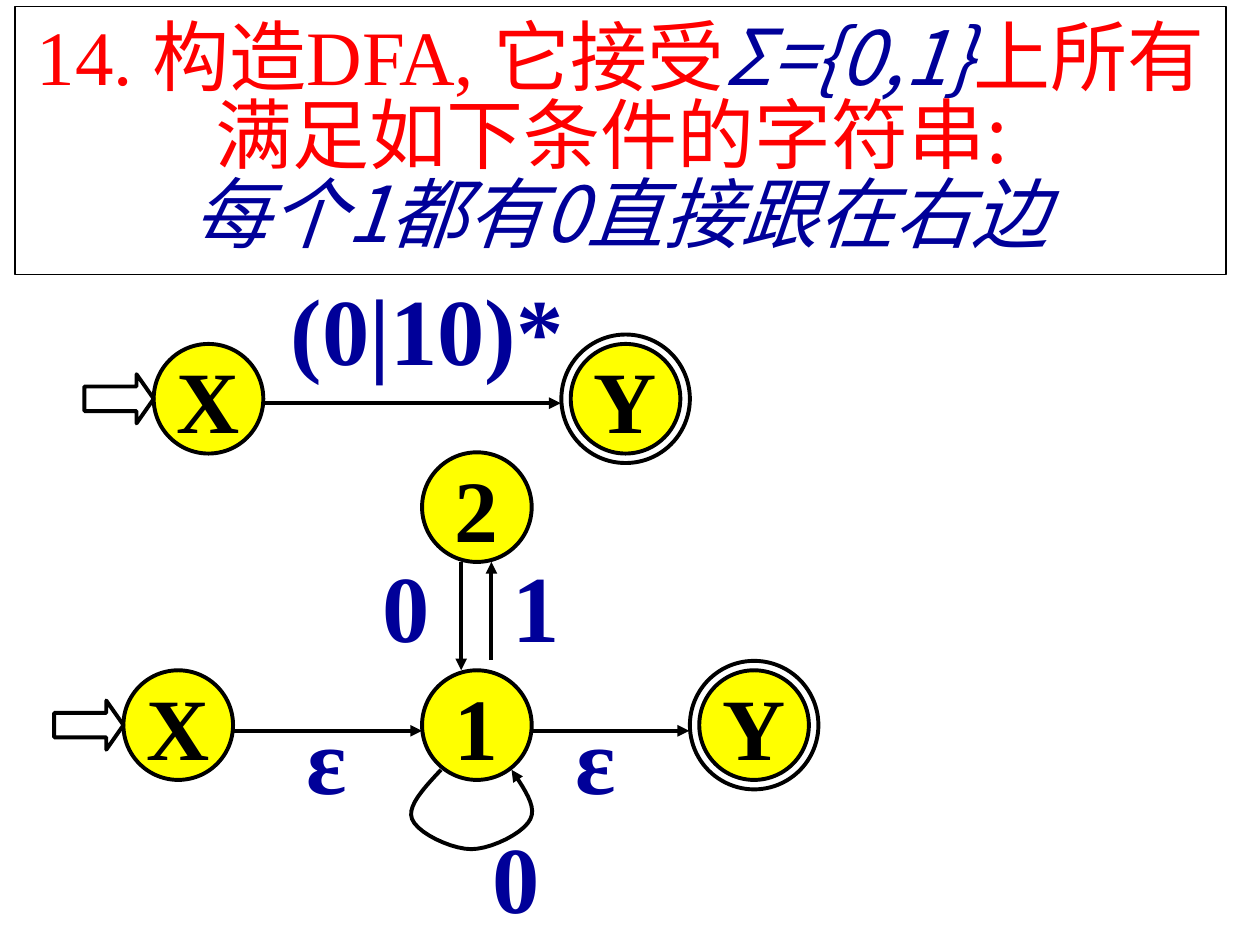
from lxml import etree
from pptx import Presentation
from pptx.dml.color import RGBColor
from pptx.enum.shapes import MSO_CONNECTOR as LINE, MSO_SHAPE as SHAPE
from pptx.enum.text import MSO_ANCHOR as ANCHOR, MSO_AUTO_SIZE as FIT, PP_ALIGN as ALIGN
from pptx.oxml.ns import qn
from pptx.util import Inches, Pt

COLORS = {"black": "000000", "white": "FFFFFF", "red": "FF0000",
          "blue": "000099", "yellow": "FFFF00"}
SERIF, SANS = "Times New Roman", "Noto Sans CJK SC"
STATE, FINAL = 0.87, 1.02  # diameters of a state and of the ring round a final one


def rgb(name):
    return RGBColor.from_string(COLORS[name])


def set_font(font, size, name, color, bold=False, italic=False):
    font.size, font.name = Pt(size), name
    font.bold, font.italic = bold, italic
    font.color.rgb = rgb(color)


def set_outline(shape, width=2.25):
    shape.line.color.rgb = rgb("black")
    shape.line.width = Pt(width)


def add_head(shape):
    """Put a triangle at the end of a line."""
    etree.SubElement(shape.line._get_or_add_ln(), qn("a:tailEnd"), type="triangle")


def add_title(page):
    title = page.shapes.title
    title.left, title.top = Inches(0.12), Inches(0.05)
    title.width, title.height = Inches(9.61), Inches(2.13)
    set_outline(title, 0.75)
    frame = title.text_frame
    frame.word_wrap, frame.auto_size = True, FIT.NONE
    frame.vertical_anchor = ANCHOR.MIDDLE
    para = frame.paragraphs[0]
    para.alignment, para.line_spacing = ALIGN.CENTER, 0.85
    for text, name, color, italic in (
            ("14. 构造DFA, 它接受", SERIF, "red", False),
            ("Σ={0,1}", SANS, "blue", True),
            ("上所有满足如下条件的字符串: ", SANS, "red", False),
            ("每个1都有0直接跟在右边", SANS, "blue", True)):
        if text.startswith("每"):
            para.add_line_break()
        span = para.add_run()
        span.text = text
        set_font(span.font, 44, name, color, italic=italic)
        etree.SubElement(span.font._element, qn("a:ea"), typeface=SANS)


def add_circle(group, x, y, size, color):
    circle = group.shapes.add_shape(SHAPE.OVAL, Inches(x - size / 2), Inches(y - size / 2),
                                    Inches(size), Inches(size))
    circle.shadow.inherit = False
    circle.fill.solid()
    circle.fill.fore_color.rgb = rgb(color)
    set_outline(circle)
    return circle


def add_state(group, x, y, name, final=False):
    """Draw a state centred on x, y."""
    if final:
        add_circle(group, x, y, FINAL, "white")
    frame = add_circle(group, x, y, STATE, "yellow").text_frame
    frame.word_wrap, frame.vertical_anchor = False, ANCHOR.MIDDLE
    para = frame.paragraphs[0]
    para.text, para.alignment = name, ALIGN.CENTER
    set_font(para.font, 50, SERIF, "black", bold=True)


def add_start(group, x, y):
    """Draw the block arrow into the state centred on x, y."""
    width, height = 0.55, 0.39
    arrow = group.shapes.add_shape(SHAPE.RIGHT_ARROW, Inches(x - STATE / 2 - width),
                                   Inches(y - height / 2), Inches(width), Inches(height))
    arrow.adjustments[0], arrow.adjustments[1] = 0.5, 0.35
    arrow.shadow.inherit = False
    arrow.fill.background()
    set_outline(arrow)


def add_edge(group, x1, y1, x2, y2):
    edge = group.shapes.add_connector(LINE.STRAIGHT, Inches(x1), Inches(y1),
                                      Inches(x2), Inches(y2))
    set_outline(edge)
    add_head(edge)
    etree.SubElement(edge._element.spPr, qn("a:effectLst"))


def add_label(group, x, y, text, width=STATE):
    box = group.shapes.add_textbox(Inches(x), Inches(y), Inches(width), Inches(1))
    box.text_frame.word_wrap = True
    para = box.text_frame.paragraphs[0]
    para.text, para.alignment = text, ALIGN.CENTER
    set_font(para.font, 54, SERIF, "blue", bold=True)


def bezier(points, steps=10):
    """Points along a cubic curve, without its start."""
    for step in range(1, steps + 1):
        t = step / steps
        weights = ((1 - t) ** 3, 3 * t * (1 - t) ** 2, 3 * t * t * (1 - t), t ** 3)
        yield tuple(Inches(sum(w * p[axis] for w, p in zip(weights, points)))
                    for axis in (0, 1))


def add_loop(group, knots):
    """Draw an arrow along joined cubic curves."""
    builder = group.shapes.build_freeform(Inches(knots[0][0]), Inches(knots[0][1]))
    for start in range(0, len(knots) - 1, 3):
        builder.add_line_segments(list(bezier(knots[start:start + 4])), close=False)
    loop = builder.convert_to_shape()
    loop.shadow.inherit = False
    loop.fill.background()
    set_outline(loop)
    add_head(loop)


def add_expression_graph(page):
    group = page.shapes.add_group_shape()
    y = 3.165
    add_state(group, 1.655, y, "X")
    add_start(group, 1.655, y)
    add_edge(group, 2.09, 3.2, 4.45, 3.2)
    add_state(group, 4.965, y, "Y", final=True)
    add_label(group, 2.09, 2.1, "(0|10)*", 2.6)


def add_automaton(page):
    group = page.shapes.add_group_shape()
    y = 5.755
    add_state(group, 1.415, y, "X")
    add_start(group, 1.415, y)
    add_state(group, 5.985, y, "Y", final=True)
    add_state(group, 3.785, y, "1")
    add_state(group, 3.785, 4.025, "2")
    for edge in ((1.85, 5.8, 3.35, 5.8), (4.21, 5.8, 5.47, 5.8),
                 (3.9, 5.24, 3.9, 4.46), (3.66, 4.46, 3.66, 5.32)):
        add_edge(group, *edge)
    add_loop(group, [(3.5, 6.11), (3.36, 6.26), (3.23, 6.4), (3.27, 6.5),
                     (3.31, 6.61), (3.58, 6.74), (3.74, 6.74),
                     (3.9, 6.74), (4.16, 6.61), (4.21, 6.5),
                     (4.26, 6.4), (4.16, 6.26), (4.06, 6.11)])
    for x, top, text in ((2.16, 5.51, "ε"), (4.29, 5.51, "ε"), (3.66, 6.45, "0"),
                         (2.79, 4.3, "0"), (3.82, 4.3, "1")):
        add_label(group, x, top, text)


def main():
    deck = Presentation()
    deck.slide_width, deck.slide_height = Inches(10), Inches(7.5)
    page = deck.slides.add_slide(deck.slide_layouts.get_by_name("Title Only"))
    add_title(page)
    add_expression_graph(page)
    add_automaton(page)
    deck.save("out.pptx")


if __name__ == "__main__":
    main()
